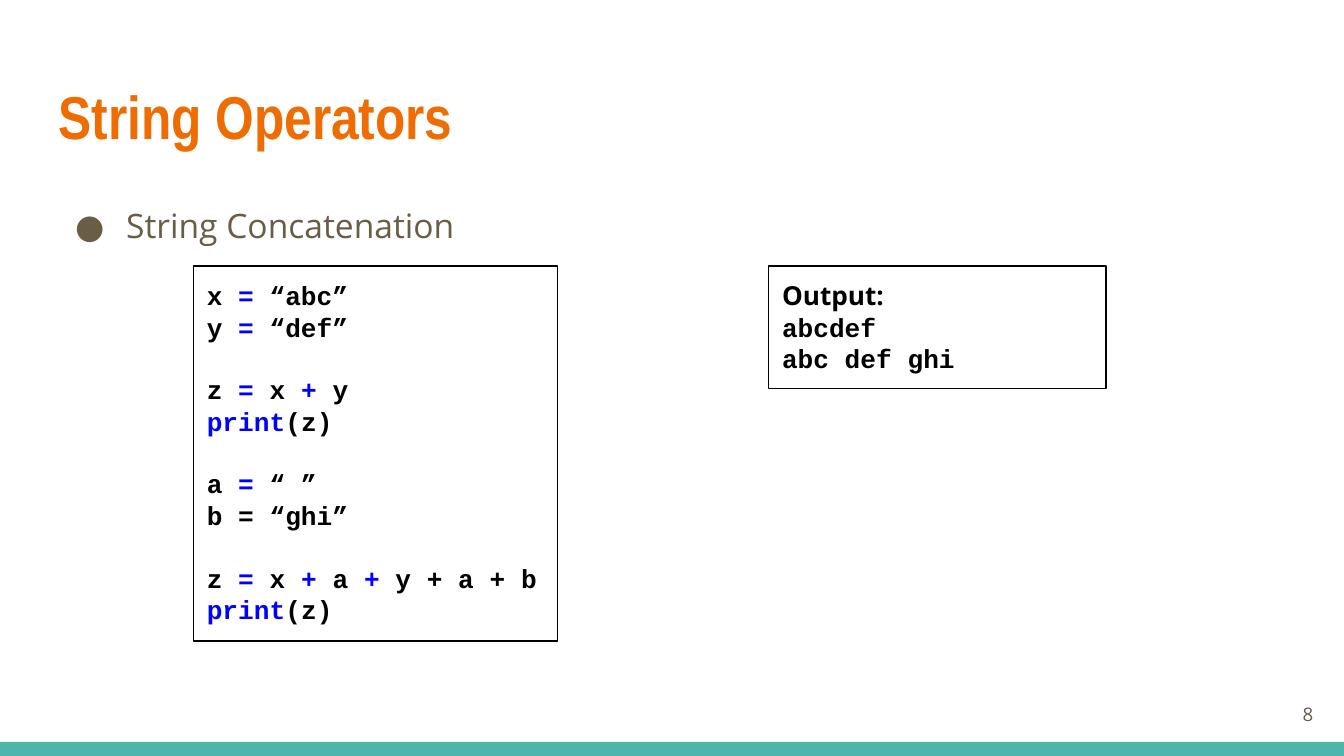
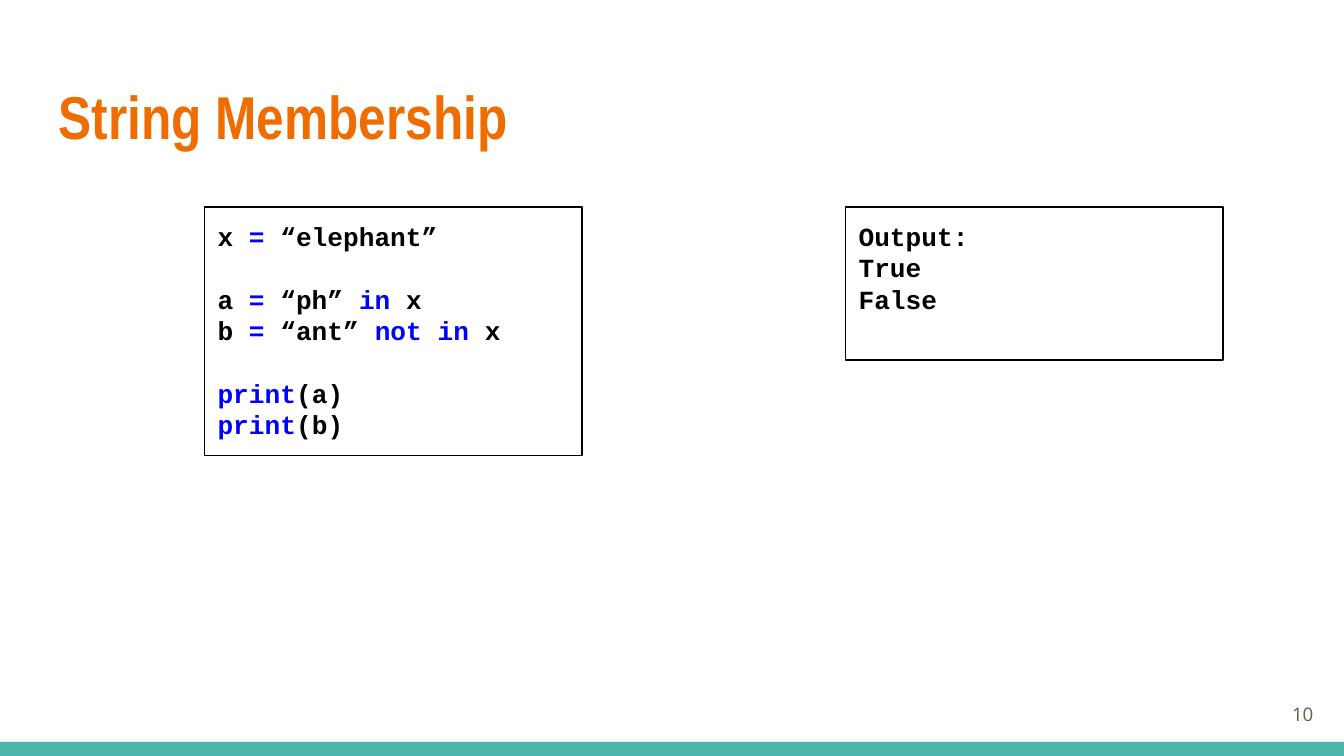
from lxml import etree
from pptx import Presentation
from pptx.dml.color import RGBColor
from pptx.enum.shapes import MSO_SHAPE
from pptx.enum.text import MSO_ANCHOR, PP_ALIGN
from pptx.oxml.ns import qn
from pptx.util import Inches, Pt

RECTANGLE = MSO_SHAPE.RECTANGLE
TOP, MIDDLE = MSO_ANCHOR.TOP, MSO_ANCHOR.MIDDLE
LEFT, RIGHT = PP_ALIGN.LEFT, PP_ALIGN.RIGHT

ORANGE, TEAL, BROWN = "EF6C00", "4DB6AC", "695D46"
BLACK, BLUE, WHITE = "000000", "0000FF", "FFFFFF"
TITLE_FONT, BODY_FONT, CODE_FONT = "Arial Narrow", "Open Sans", "Courier New"

SLIDE_WIDTH = 10
SLIDE_HEIGHT = SLIDE_WIDTH * 9 / 16
CODE_SIZE = 14
CODE_GAP = 16.8  # one code line, in points

# Panels hold blocks of lines; backticks enclose the highlighted code.
SLIDES = [
    {
        "title": "String Operators",
        "bullet": "String Concatenation",
        "number": "8",
        "panels": [
            {"box": (1.44, 1.98, 2.71, 2.79), "heading_font": CODE_FONT, "blocks": [
                ["x `=` “abc”", "y `=` “def”"],
                ["z `=` x `+` y", "`print`(z)"],
                ["a `=` “ ”", "b = “ghi”"],
                ["z `=` x `+` a `+` y + a + b", "`print`(z)"],
            ]},
            {"box": (5.72, 1.98, 2.51, 0.91), "heading_font": BODY_FONT, "blocks": [
                ["Output:", "abcdef", "abc def ghi"],
            ]},
        ],
    },
    {
        "title": "String Membership",
        "bullet": None,
        "number": "10",
        "panels": [
            {"box": (1.52, 1.54, 2.81, 1.85), "heading_font": CODE_FONT, "blocks": [
                ["x `=` “elephant”"],
                ["a `=` “ph” `in `x", "b `=` “ant” `not in` x"],
                ["`print`(a)", "`print`(b)"],
            ]},
            {"box": (6.29, 1.54, 2.81, 1.14), "heading_font": CODE_FONT, "blocks": [
                ["Output:", "True", "False"],
            ]},
        ],
    },
]


def rgb(color):
    return RGBColor.from_string(color)


def add_run(paragraph, text, font, size, color, bold=False):
    run = paragraph.add_run()
    run.text = text
    run.font.name = font
    run.font.size = Pt(size)
    run.font.bold = bold
    run.font.color.rgb = rgb(color)


def prepare_frame(shape, anchor=TOP):
    """Give the shape's text frame the shared insets and wrapping."""
    frame = shape.text_frame
    frame.word_wrap = True
    frame.vertical_anchor = anchor
    frame.margin_left = frame.margin_right = Inches(0.1)
    frame.margin_top = frame.margin_bottom = Inches(0.1)
    return frame


def add_text(slide, box, text, font, size, color, bold=False, anchor=TOP, align=LEFT):
    textbox = slide.shapes.add_textbox(*map(Inches, box))
    paragraph = prepare_frame(textbox, anchor).paragraphs[0]
    paragraph.alignment = align
    add_run(paragraph, text, font, size, color, bold)
    return paragraph


def add_bullet(paragraph):
    properties = paragraph._p.get_or_add_pPr()
    properties.set("marL", str(Inches(0.5)))
    properties.set("indent", str(Inches(-0.38)))
    paragraph.line_spacing = 1.15
    color = etree.SubElement(properties, qn("a:buClr"))
    etree.SubElement(color, qn("a:srgbClr"), val=BROWN)
    etree.SubElement(properties, qn("a:buFont"), typeface=BODY_FONT)
    etree.SubElement(properties, qn("a:buChar"), char="●")


def add_rectangle(slide, box, fill=None, line=None):
    shape = slide.shapes.add_shape(RECTANGLE, *map(Inches, box))
    shape.shadow.inherit = False
    if fill:
        shape.fill.solid()
        shape.fill.fore_color.rgb = rgb(fill)
    else:
        shape.fill.background()
    if line:
        shape.line.color.rgb = rgb(line)
        shape.line.width = Pt(0.75)
    else:
        shape.line.fill.background()
    return shape


def add_panel(slide, box, heading_font, blocks):
    """Draw a framed box of code, with a line-high gap between blocks."""
    frame = prepare_frame(add_rectangle(slide, box, line=BLACK))
    paragraph = frame.paragraphs[0]
    font = heading_font
    for block_index, block in enumerate(blocks):
        for line_index, line in enumerate(block):
            if block_index or line_index:
                paragraph = frame.add_paragraph()
                font = CODE_FONT
            if block_index and line_index == 0:
                paragraph.space_before = Pt(CODE_GAP)
            paragraph.alignment = LEFT
            for part_index, part in enumerate(line.split("`")):
                if part:
                    color = BLUE if part_index % 2 else BLACK
                    add_run(paragraph, part, font, CODE_SIZE, color, bold=True)


def add_slide(presentation, content):
    slide = presentation.slides.add_slide(presentation.slide_layouts[6])
    slide.background.fill.solid()
    slide.background.fill.fore_color.rgb = rgb(WHITE)
    add_rectangle(slide, (0, 5.52, SLIDE_WIDTH, 0.11), fill=TEAL)
    add_text(slide, (0.34, 0.49, 9.32, 0.77), content["title"],
             TITLE_FONT, 32.4, ORANGE, bold=True)
    if content["bullet"]:
        add_bullet(add_text(slide, (0.34, 1.38, 9.32, 3.61), content["bullet"],
                            BODY_FONT, 18, BROWN))
    add_text(slide, (9.27, 5.1, 0.6, 0.43), content["number"],
             BODY_FONT, 10, BROWN, anchor=MIDDLE, align=RIGHT)
    for panel in content["panels"]:
        add_panel(slide, **panel)


def main():
    presentation = Presentation()
    presentation.slide_width = Inches(SLIDE_WIDTH)
    presentation.slide_height = Inches(SLIDE_HEIGHT)
    for content in SLIDES:
        add_slide(presentation, content)
    presentation.save("out.pptx")


if __name__ == "__main__":
    main()
